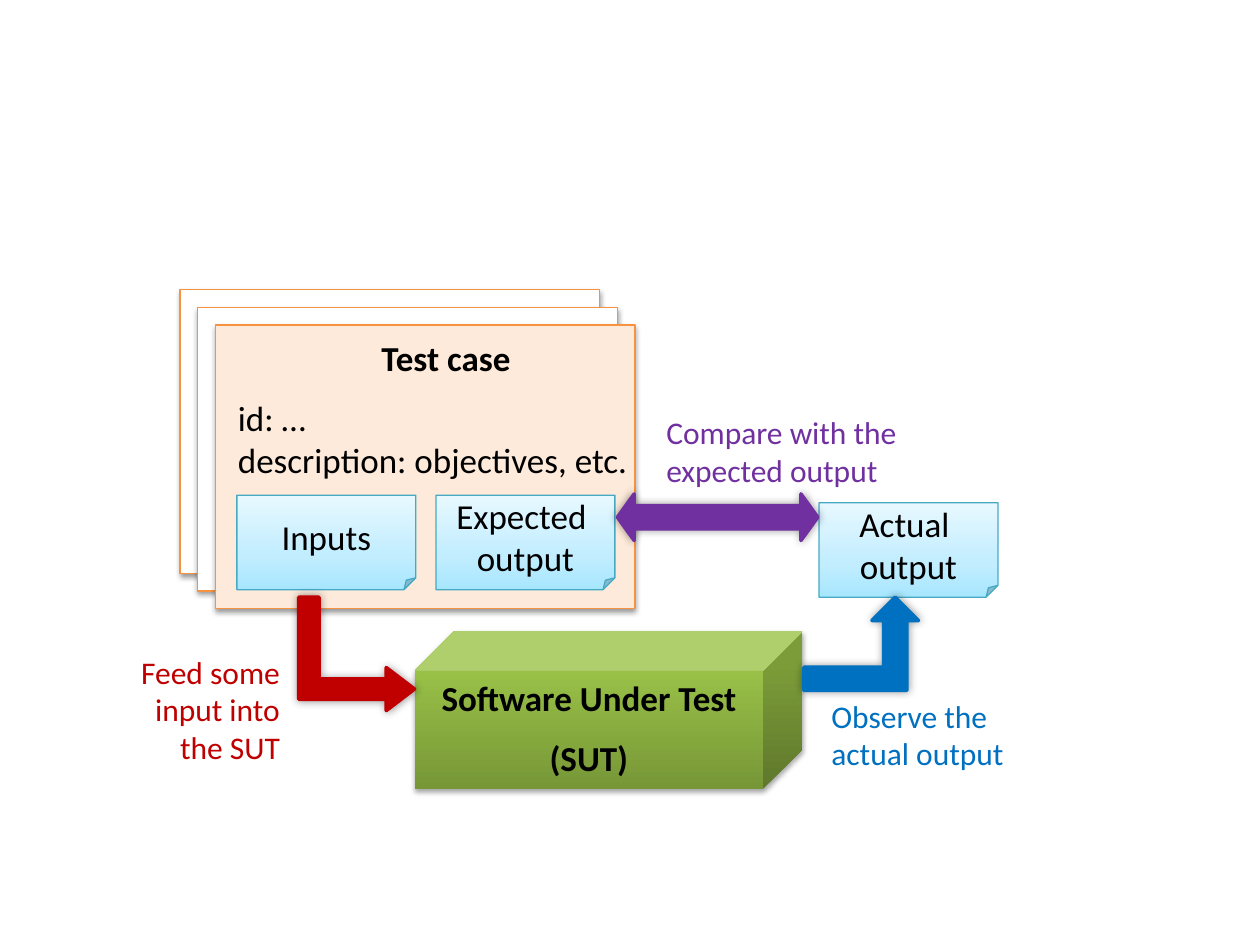
from lxml import etree
from pptx import Presentation
from pptx.dml.color import RGBColor
from pptx.enum.shapes import MSO_SHAPE
from pptx.enum.text import MSO_ANCHOR, MSO_AUTO_SIZE, PP_ALIGN
from pptx.oxml.ns import qn
from pptx.util import Inches, Pt

RECT, CUBE, NOTE = MSO_SHAPE.RECTANGLE, MSO_SHAPE.CUBE, MSO_SHAPE.FOLDED_CORNER
DOUBLE, BENT = MSO_SHAPE.LEFT_RIGHT_ARROW, MSO_SHAPE.BENT_UP_ARROW
TOP, MIDDLE, BOTTOM = MSO_ANCHOR.TOP, MSO_ANCHOR.MIDDLE, MSO_ANCHOR.BOTTOM
LEFT, CENTER, RIGHT = PP_ALIGN.LEFT, PP_ALIGN.CENTER, PP_ALIGN.RIGHT
FIT, FIXED = MSO_AUTO_SIZE.SHAPE_TO_FIT_TEXT, MSO_AUTO_SIZE.NONE

COLORS = {
    "white": "FFFFFF", "black": "000000", "cream": "FDEADA", "orange": "F69240",
    "teal": "46AAC5", "purple": "7030A0", "blue": "0070C0", "red": "C00000",
}
GREEN = [(0, "779737"), (80, "9BC348"), (100, "9DC746")]
SKY = [(0, "A7E6FF"), (35, "C1EDFF"), (100, "E7F8FF")]
CARD_SHADE = (38, 3.1, 1.6, 90)
CUBE_SHADE = (35, 3.1, 1.8, 90)
GLOW = (40, 5, 0, 0)

prs = Presentation()
prs.slide_width, prs.slide_height = Inches(10), Inches(7.5)
slide = prs.slides.add_slide(prs.slide_layouts[6])


def draw(kind, box, fill, line=None, width=0.75, shade=None):
    shape = slide.shapes.add_shape(kind, *map(Inches, box))
    shape.shadow.inherit = False
    if isinstance(fill, list):
        shape.fill.gradient()
        shape.fill.gradient_angle = 90
        stops = shape._element.spPr.find(".//" + qn("a:gsLst"))
        for stop in list(stops):
            stops.remove(stop)
        for spot, tone in fill:
            stop = etree.SubElement(stops, qn("a:gs"), pos=str(spot * 1000))
            etree.SubElement(stop, qn("a:srgbClr"), val=tone)
    else:
        shape.fill.solid()
        shape.fill.fore_color.rgb = RGBColor.from_string(COLORS[fill])
    if line:
        shape.line.color.rgb = RGBColor.from_string(COLORS[line])
        shape.line.width = Pt(width)
    else:
        shape.line.fill.background()
    if shade:
        alpha, blur, dist, angle = shade
        effect = shape._element.spPr.find(qn("a:effectLst"))
        outer = etree.SubElement(
            effect, qn("a:outerShdw"), blurRad=str(Pt(blur)), dist=str(Pt(dist)),
            dir=str(angle * 60000), rotWithShape="0")
        tone = etree.SubElement(outer, qn("a:srgbClr"), val=COLORS["black"])
        etree.SubElement(tone, qn("a:alpha"), val=str(alpha * 1000))
    return shape


def write(shape, paras, size=20, color="black", anchor=TOP, wrap=True):
    frame = shape.text_frame
    frame.word_wrap = wrap
    frame.auto_size = FIT if wrap else FIXED
    frame.vertical_anchor = anchor
    for i, (text, align, bold) in enumerate(paras):
        para = frame.add_paragraph() if i else frame.paragraphs[0]
        para.alignment = align
        if i:
            para.space_before = Pt(size / 2)
        for j, part in enumerate(text.split("\n")):
            if j:
                para.add_line_break()
            run = para.add_run()
            run.text = part
            run.font.name = "Calibri"
            run.font.size = Pt(size)
            run.font.bold = bold
            run.font.color.rgb = RGBColor.from_string(COLORS[color])


for i, fill in enumerate(["white", "white", "cream"]):
    step = 0.14 * i
    draw(RECT, (1.43 + step, 2.3 + step, 3.33, 2.25), fill, "orange", shade=CARD_SHADE)

cube = draw(CUBE, (3.29, 5.01, 3.08, 1.25), GREEN, shade=CUBE_SHADE)
write(cube, [("Software Under Test", CENTER, True), ("(SUT)", CENTER, True)])

for text, left, top in [
    ("Inputs", 1.88, 3.93),
    ("Actual \noutput", 6.5, 3.99),
    ("Expected \noutput", 3.46, 3.93),
]:
    note = draw(NOTE, (left, top, 1.42, 0.75), SKY, "teal")
    guides = note._element.spPr.find(".//" + qn("a:avLst"))
    etree.SubElement(guides, qn("a:gd"), name="adj", fmla="val 12500")
    write(note, [(text, CENTER, False)], anchor=MIDDLE, wrap=False)

case = slide.shapes.add_textbox(Inches(1.79), Inches(2.59), Inches(3.5), Inches(1.27))
write(case, [
    ("Test case", CENTER, True),
    ("id: …\ndescription: objectives, etc.", LEFT, False),
], anchor=BOTTOM)

for text, box, align, color in [
    ("Observe the actual output", (6.5, 5.48, 1.97, 0.71), LEFT, "blue"),
    ("Compare with the expected output", (5.19, 3.23, 2.5, 0.71), LEFT, "purple"),
    ("Feed some input into the SUT", (0.98, 5.13, 1.34, 1.01), RIGHT, "red"),
]:
    label = slide.shapes.add_textbox(*map(Inches, box))
    write(label, [(text, align, False)], 18, color)

for kind, box, color, turn, bends in [
    (DOUBLE, (4.9, 3.92, 1.59, 0.37), "purple", 0, (0.5, 0.36)),
    (BENT, (6.38, 4.74, 0.91, 0.74), "blue", 0, (0.25, 0.25, 0.25)),
    (BENT, (2.38, 4.73, 0.9, 0.92), "red", 90, (0.18, 0.19, 0.25)),
]:
    arrow = draw(kind, box, color, color, 2, GLOW)
    arrow.rotation = turn
    for i, bend in enumerate(bends):
        arrow.adjustments[i] = bend

prs.save("out.pptx")
